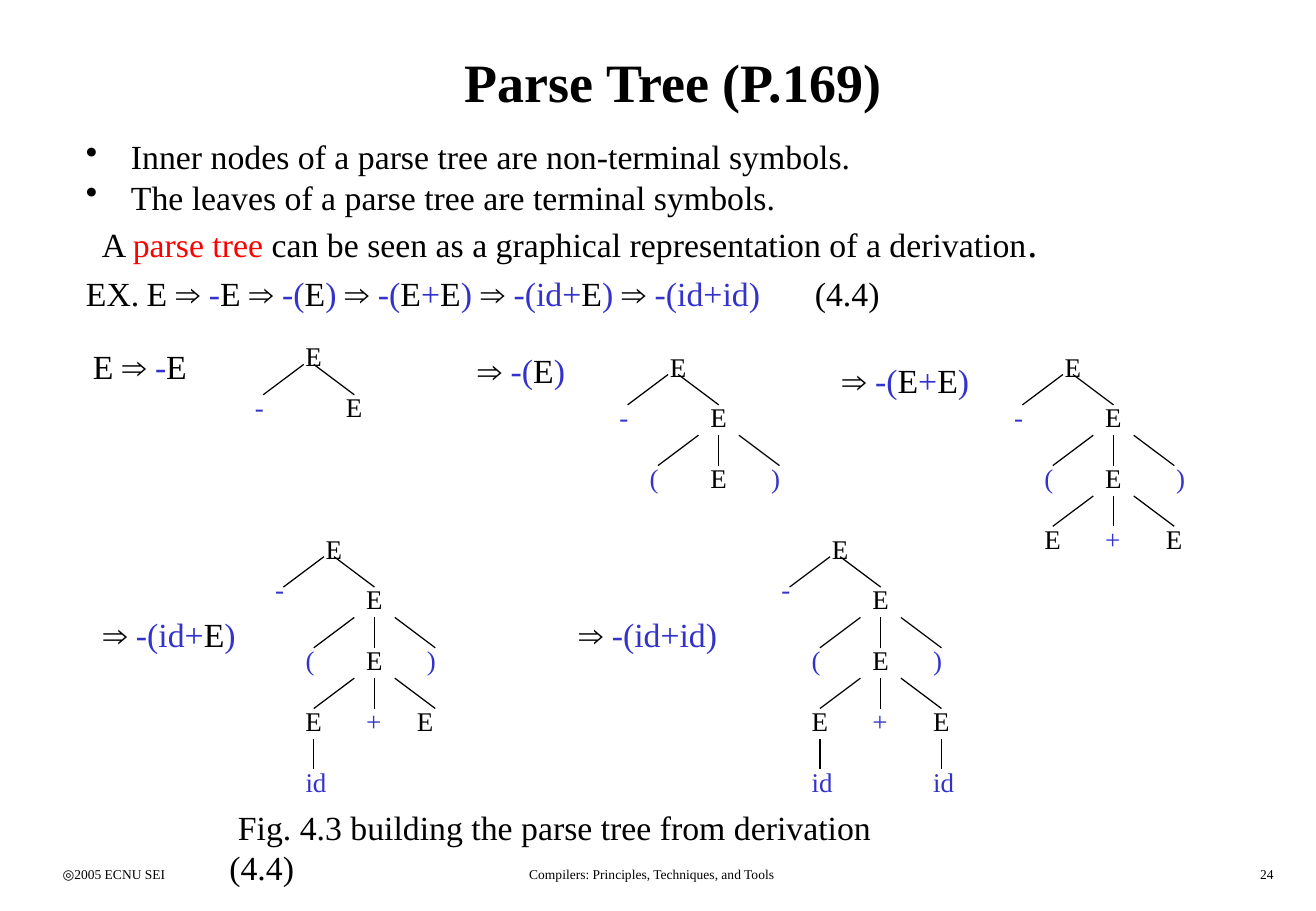
import itertools

import pptx
import pptx.dml.color
import pptx.enum.shapes
import pptx.enum.text
import pptx.oxml
import pptx.oxml.ns
import pptx.util

COLUMNS, ROWS = 130, 90
CELL = pptx.util.Inches(1) // 12
BLACK, BLUE, RED = "000000", "3333CC", "FF0000"
ALIGN = pptx.enum.text.PP_ALIGN

SYMBOL_WIDTH = {"E": 4.08, "+": 3.96, "-": 3.36, "(": 3.36, ")": 3.36, "id": 4.56}
# Column offsets from a tree's root: where each edge starts and ends
SIGN_EDGES = [(1, -3), (2, 6)]
FAN_EDGES = [(4, 0), (6, 6), (8, 12)]
LEFT_STEM, RIGHT_STEM = (0, 0), (12, 12)

# Each level is its edges and its nodes: symbol, column offset, row offset in level
SIGN = (SIGN_EDGES, [("-", -5, 0), ("E", 4, 0)])
RAISED_SIGN = (SIGN_EDGES, [("-", -5, -1), ("E", 4, 0)])
BRACKETS = (FAN_EDGES, [("(", -2, 0), ("E", 4, 0), (")", 10, 0)])
WIDE_BRACKETS = (FAN_EDGES, [("(", -2, 0), ("E", 4, 0), (")", 11, 0)])
SUM = (FAN_EDGES, [("E", -2, 0), ("+", 4, 0), ("E", 10, 0)])
NARROW_SUM = (FAN_EDGES, [("E", -2, 0), ("+", 4, 0), ("E", 9, 0)])
ONE_ID = ([LEFT_STEM], [("id", -2, 0)])
TWO_IDS = ([LEFT_STEM, RIGHT_STEM], [("id", -2, 0), ("id", 10, 0)])

# Derivation step, its place and width, the root's place, the levels below it
STEPS = [
    ("E ⇒ -E", (8, 33.6, 13.44), (29, 33), [SIGN]),
    ("⇒ -(E)", (46, 34, 11.88), (65, 34), [SIGN, BRACKETS]),
    ("⇒ -(E+E)", (82, 35, 15.84), (104, 34), [SIGN, WIDE_BRACKETS, SUM]),
    ("⇒ -(id+E)", (9, 60, 16.32), (31, 52),
     [RAISED_SIGN, BRACKETS, NARROW_SUM, ONE_ID]),
    ("⇒ -(id+id)", (56, 60, 16.92), (81, 52),
     [RAISED_SIGN, BRACKETS, SUM, TWO_IDS]),
]


def color(hex_value):
    return pptx.dml.color.RGBColor.from_string(hex_value)


def derivation(formula):
    """Split a formula into runs: terminals blue, everything else black."""
    pieces = itertools.groupby(formula, lambda symbol: symbol in "E⇒ ")
    return [("".join(piece), BLACK if plain else BLUE) for plain, piece in pieces]


class Deck:
    """Draws on one slide; lengths are columns and rows of a 130 by 90 grid."""

    font = "Times New Roman"

    def __init__(self):
        self.file = pptx.Presentation()
        self.file.slide_width = COLUMNS * CELL
        self.file.slide_height = ROWS * CELL
        self.slide = self.file.slides.add_slide(self.file.slide_layouts[6])
        self.canvas = self.slide.shapes

    def box(self, left, top, width, height, wrap=True):
        frame = self.canvas.add_textbox(
            *(round(cells * CELL) for cells in (left, top, width, height))).text_frame
        frame.word_wrap = wrap
        return frame

    def add_runs(self, paragraph, runs, size, bold=False):
        """Add runs given as (text, color) or (text, color, own size)."""
        for words, hex_value, *own_size in runs:
            run = paragraph.add_run()
            run.text = words
            run.font.name = self.font
            run.font.size = pptx.util.Pt(own_size[0] if own_size else size)
            run.font.bold = bold
            run.font.color.rgb = color(hex_value)

    def text(self, place, runs, size, align=ALIGN.LEFT, bold=False, wrap=True):
        frame = self.box(*place, wrap=wrap)
        frame.paragraphs[0].alignment = align
        self.add_runs(frame.paragraphs[0], runs, size, bold)
        return frame

    def indent(self, paragraph, margin, first=0, bullet=None, tabs=()):
        """Set indents and tab stops in inches, with an optional bullet."""
        properties = paragraph._p.get_or_add_pPr()
        properties.set("marL", str(pptx.util.Inches(margin)))
        properties.set("indent", str(pptx.util.Inches(first)))
        namespace = pptx.oxml.ns.nsdecls("a")
        if bullet:
            properties.append(pptx.oxml.parse_xml(
                f'<a:buChar {namespace} char="{bullet}"/>'))
        if tabs:
            stops = "".join(f'<a:tab pos="{pptx.util.Inches(stop)}" algn="l"/>'
                            for stop in tabs)
            properties.append(pptx.oxml.parse_xml(
                f"<a:tabLst {namespace}>{stops}</a:tabLst>"))

    def line(self, start, end):
        edge = self.canvas.add_connector(
            pptx.enum.shapes.MSO_CONNECTOR.STRAIGHT,
            *(cells * CELL for cells in start + end))
        edge.line.color.rgb = color(BLACK)
        edge.line.width = pptx.util.Pt(0.75)
        edge._element.spPr.append(pptx.oxml.parse_xml(
            f'<a:effectLst {pptx.oxml.ns.nsdecls("a")}/>'))

    def node(self, symbol, column, row):
        self.text((column, row, SYMBOL_WIDTH[symbol], 4.44),
                  derivation(symbol), 16, wrap=False)

    def step(self, formula, label, root, levels):
        """Draw one derivation step and its parse tree as a group."""
        self.canvas = self.slide.shapes.add_group_shape().shapes
        column, row = root
        self.text((*label, 5.16), derivation(formula), 20, wrap=False)
        self.node("E", column, row)
        for depth, (edges, nodes) in enumerate(levels):
            top = row + 3 + 6 * depth
            for start, end in edges:
                self.line((column + start, top), (column + end, top + 3))
            for symbol, across, down in nodes:
                self.node(symbol, column + across, top + 2 + down)
        self.canvas = self.slide.shapes


def main():
    deck = Deck()
    title = deck.text((5, 2, 123, 12), [("Parse Tree (P.169)", BLACK)], 32,
                      ALIGN.CENTER, bold=True)
    title.vertical_anchor = pptx.enum.text.MSO_ANCHOR.MIDDLE

    body = deck.box(7.32, 12.84, 97.56, 22.8)
    inner, leaves, meaning, example = [body.paragraphs[0]] + [
        body.add_paragraph() for _ in range(3)]
    for point, words in (
            (inner, "Inner nodes of a parse tree are non-terminal symbols."),
            (leaves, "The leaves of a parse tree are terminal symbols.")):
        deck.indent(point, 0.37, -0.37, bullet="•")
        deck.add_runs(point, [(words, BLACK)], 20)
    deck.indent(meaning, 0.13)
    deck.add_runs(meaning, [
        ("A ", BLACK), ("parse tree", RED),
        (" can be seen as a graphical representation of a derivation", BLACK),
        (".", BLACK, 24)], 20)
    deck.indent(example, 0, tabs=(0.65, 7.02))
    example.space_before = pptx.util.Pt(4)
    deck.add_runs(example, [
        ("EX.\t", BLACK),
        *derivation("E ⇒ -E ⇒ -(E) ⇒ -(E+E) ⇒ -(id+E) ⇒ -(id+id)"),
        ("\t(4.4)", BLACK)], 20)

    for step in STEPS:
        deck.step(*step)

    caption = deck.text((21.48, 79.08, 72, 5.16), [
        ("Fig. 4.3 building the parse tree from derivation (4.4)", BLACK)], 20)
    deck.indent(caption.paragraphs[0], 0, 0.07)

    for left, width, align, words in (
            (5, 27, ALIGN.LEFT, "◎2005 ECNU SEI"),
            (40, 48.8, ALIGN.CENTER, "Compilers: Principles, Techniques, and Tools"),
            (100, 27, ALIGN.RIGHT, "24")):
        deck.text((left, 85, width, 3), [(words, BLACK)], 8, align)

    deck.file.save("out.pptx")


if __name__ == "__main__":
    main()
